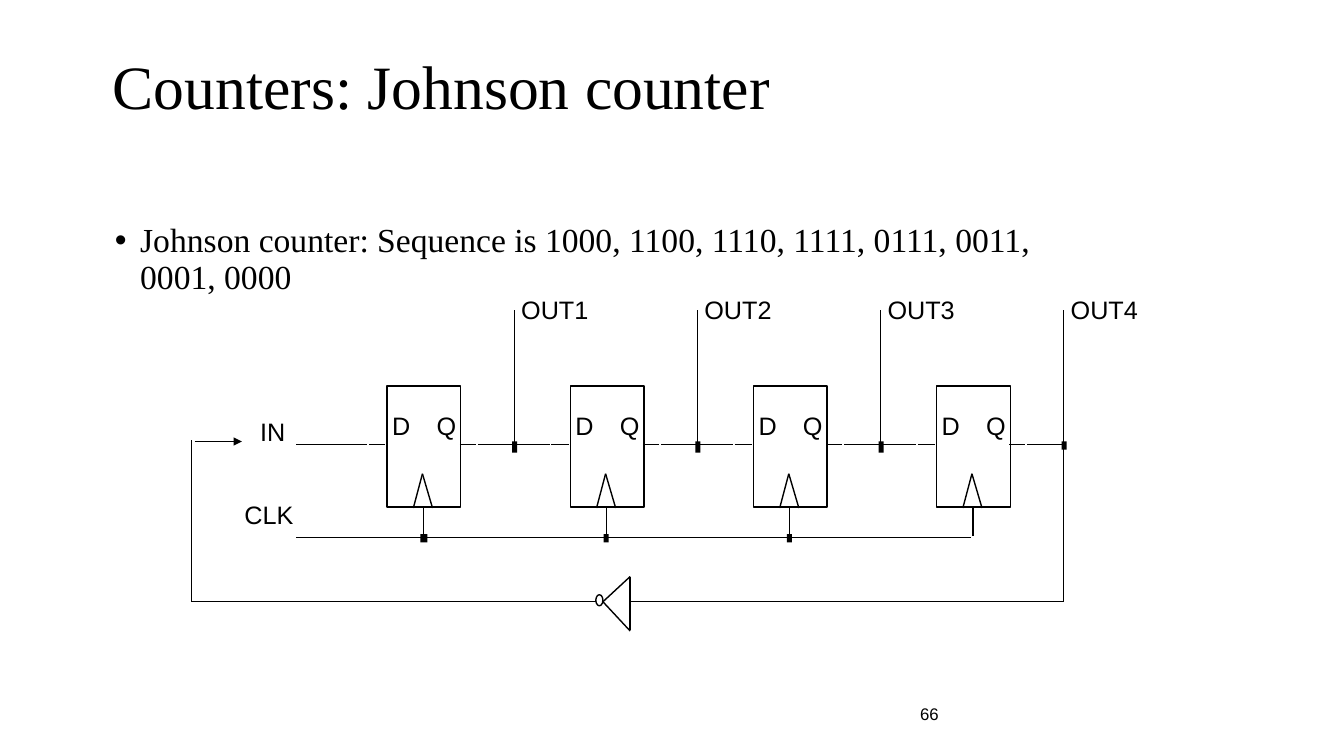
from lxml.etree import SubElement
from pptx import Presentation
from pptx.dml.color import RGBColor
from pptx.enum.shapes import MSO_CONNECTOR, MSO_SHAPE
from pptx.enum.text import MSO_ANCHOR, MSO_AUTO_SIZE, PP_ALIGN
from pptx.oxml.ns import qn
from pptx.util import Inches, Pt

BLACK = RGBColor(0, 0, 0)
WHITE = RGBColor(255, 255, 255)

STAGES = 4
PITCH = (9.29 - 3.84) / 3  # distance between neighbouring flip-flops
STAGE_W, STAGE_H = 0.73, 1.2
DATA_DY = 0.58  # data wire below the top of a flip-flop
CLOCK_DY = 1.5  # clock wire below the top of a flip-flop
OUT_DX = 1.26  # output tap right of a flip-flop's left edge
CLOCK_DX = 0.36  # clock pin right of a flip-flop's left edge


def set_format(target, values):
    for name, value in values.items():
        setattr(target, name, value)


def style_font(paragraph, size, face):
    set_format(paragraph.font, {"size": Pt(size), "name": face})
    paragraph.font.color.rgb = BLACK


def place(shape, left, top, width, height):
    set_format(shape, {"left": Inches(left), "top": Inches(top),
                       "width": Inches(width), "height": Inches(height)})


def add_wire(slide, x1, y1, x2, y2, arrow=False):
    wire = slide.shapes.add_connector(
        MSO_CONNECTOR.STRAIGHT, Inches(x1), Inches(y1), Inches(x2), Inches(y2))
    wire.line.color.rgb = BLACK
    wire.line.width = Pt(1)
    properties = wire.line._get_or_add_ln()
    if arrow:
        SubElement(properties, qn("a:tailEnd"), type="triangle")
    SubElement(wire._element.spPr, qn("a:effectLst"))


def add_part(slide, kind, left, top, width, height, fill=None, outlined=True):
    part = slide.shapes.add_shape(
        kind, Inches(left), Inches(top), Inches(width), Inches(height))
    part.shadow.inherit = False
    if fill is None:
        part.fill.background()
    else:
        part.fill.solid()
        part.fill.fore_color.rgb = fill
    if outlined:
        part.line.color.rgb = BLACK
        part.line.width = Pt(1)
    else:
        part.line.fill.background()


def add_junction(slide, left, top, width=0.05, height=0.08):
    add_part(slide, MSO_SHAPE.RECTANGLE, left, top, width, height, BLACK, False)


def add_label(slide, text, left, top, width, align=PP_ALIGN.LEFT):
    label = slide.shapes.add_textbox(
        Inches(left), Inches(top), Inches(width), Inches(0.75))
    set_format(label.text_frame, {
        "word_wrap": False,
        "margin_left": Inches(0.02), "margin_right": Inches(0.02),
        "margin_top": Inches(0.03), "margin_bottom": Inches(0.03)})
    paragraph = label.text_frame.paragraphs[0]
    paragraph.text = text
    set_format(paragraph, {"alignment": align, "line_spacing": Pt(17)})
    style_font(paragraph, 18, "Arial")


def add_title(slide, left, top, width, height):
    title = slide.shapes.title
    place(title, left, top, width, height)
    title.text = "Counters: Johnson counter"
    set_format(title.text_frame, {"vertical_anchor": MSO_ANCHOR.MIDDLE,
                                  "word_wrap": True,
                                  "auto_size": MSO_AUTO_SIZE.NONE})
    paragraph = title.text_frame.paragraphs[0]
    set_format(paragraph, {"alignment": PP_ALIGN.LEFT, "line_spacing": 0.9})
    style_font(paragraph, 44, "Times New Roman")


def add_sequence(slide, left, top, width, height):
    body = slide.placeholders[1]
    place(body, left, top, width, height)
    set_format(body.text_frame, {"word_wrap": True,
                                 "auto_size": MSO_AUTO_SIZE.NONE})
    paragraph = body.text_frame.paragraphs[0]
    paragraph.text = ("Johnson counter: Sequence is 1000, 1100, 1110, 1111, "
                      "0111, 0011, 0001, 0000")
    set_format(paragraph, {"line_spacing": 0.9, "space_before": Pt(0)})
    properties = paragraph._p.get_or_add_pPr()
    properties.set("marL", str(Inches(0.25)))
    properties.set("indent", str(-Inches(0.25)))
    SubElement(properties, qn("a:buFont"), typeface="Arial")
    SubElement(properties, qn("a:buChar"), char="•")
    style_font(paragraph, 24, "Times New Roman")


def add_slide_number(slide, left, top, width, height):
    number = slide.shapes.add_textbox(
        Inches(left), Inches(top), Inches(width), Inches(height))
    set_format(number.text_frame, {"word_wrap": True,
                                   "vertical_anchor": MSO_ANCHOR.MIDDLE})
    paragraph = number.text_frame.paragraphs[0]
    paragraph.text = "66"
    paragraph.alignment = PP_ALIGN.RIGHT
    style_font(paragraph, 12, "Arial")


def add_flip_flop(slide, left, top):
    add_part(slide, MSO_SHAPE.RECTANGLE, left, top, STAGE_W, STAGE_H, WHITE)
    # Clock notch
    for foot in (0.26, 0.45):
        add_wire(slide, left + foot, top + 1.21, left + 0.35, top + 0.87)
    for pin, dx in (("D", 0.03), ("Q", 0.47)):
        add_label(slide, pin, left + dx, top + 0.27, 0.35)


def add_stage(slide, index, left, top):
    last = index == STAGES - 1
    data_y, clock_y = top + DATA_DY, top + CLOCK_DY
    out_x, clock_x = left + OUT_DX, left + CLOCK_DX
    add_flip_flop(slide, left, top)

    # Data wire to the output tap, and on to the next flip-flop
    segments = [(0.72, 0.88), (0.9, 1.25)]
    if not last:
        segments += [(1.27, 1.61), (1.63, 1.8)]
    for start, end in segments:
        add_wire(slide, left + start, data_y, left + end, data_y)
    add_junction(slide, out_x - 0.02, data_y - 0.03,
                 height=0.08 if last else 0.11)

    # Output tap
    add_wire(slide, out_x, top - 0.75, out_x, data_y - 0.02)
    add_label(slide, f"OUT{index + 1}", out_x + 0.05, top - 0.88, 1)

    # Clock pin
    add_wire(slide, clock_x, top + 1.21, clock_x, clock_y - 0.01)
    if not last:
        add_junction(slide, clock_x - 0.03, clock_y - 0.03, 0.07 if index == 0 else 0.05)


def add_inverter(slide, left, axis):
    tip, back = left + 0.07, left + 0.34
    add_wire(slide, back, axis - 0.25, tip, axis)
    add_wire(slide, back, axis + 0.29, tip, axis)
    add_wire(slide, back, axis - 0.25, back, axis + 0.28)
    add_part(slide, MSO_SHAPE.OVAL, left, axis - 0.07, 0.07, 0.11)


def add_circuit(slide, left, top):
    """Counter whose first flip-flop has its corner at left, top."""
    data_y, clock_y = top + DATA_DY, top + CLOCK_DY
    last_left = left + (STAGES - 1) * PITCH
    for index in range(STAGES):
        add_stage(slide, index, left + index * PITCH, top)

    # Data and clock inputs
    add_wire(slide, left - 0.9, data_y, left - 0.2, data_y)
    add_wire(slide, left - 0.18, data_y, left - 0.02, data_y)
    add_label(slide, "IN", left - 1.73, top + 0.33, 0.74, PP_ALIGN.RIGHT)
    add_wire(slide, left - 0.9, clock_y, last_left + 0.34, clock_y)
    add_label(slide, "CLK", left - 1.62, top + 1.16, 0.71, PP_ALIGN.RIGHT)

    # Inverted feedback from the last output to the input
    feedback_y, return_x = top + 2.14, left - 1.94
    out_x, inverter_x = last_left + OUT_DX, left + 2.07
    add_wire(slide, out_x, data_y - 0.02, out_x, feedback_y)
    add_wire(slide, out_x, feedback_y, inverter_x + 0.34, feedback_y)
    add_inverter(slide, inverter_x, feedback_y)
    add_wire(slide, inverter_x, feedback_y, return_x, feedback_y)
    add_wire(slide, return_x, feedback_y, return_x, data_y - 0.04)
    add_wire(slide, return_x + 0.03, data_y - 0.03,
             return_x + 0.5, data_y - 0.03, arrow=True)


def main():
    deck = Presentation()
    set_format(deck, {"slide_width": Inches(13.33), "slide_height": Inches(7.5)})
    slide = deck.slides.add_slide(deck.slide_layouts[1])
    add_slide_number(slide, 7.33, 6.83, 2.08, 0.5)
    add_title(slide, 1.02, 0.11, 7.83, 1.55)
    add_sequence(slide, 1.04, 2.17, 9.43, 4.5)
    add_circuit(slide, 3.84, 3.83)
    deck.save("out.pptx")


if __name__ == "__main__":
    main()
